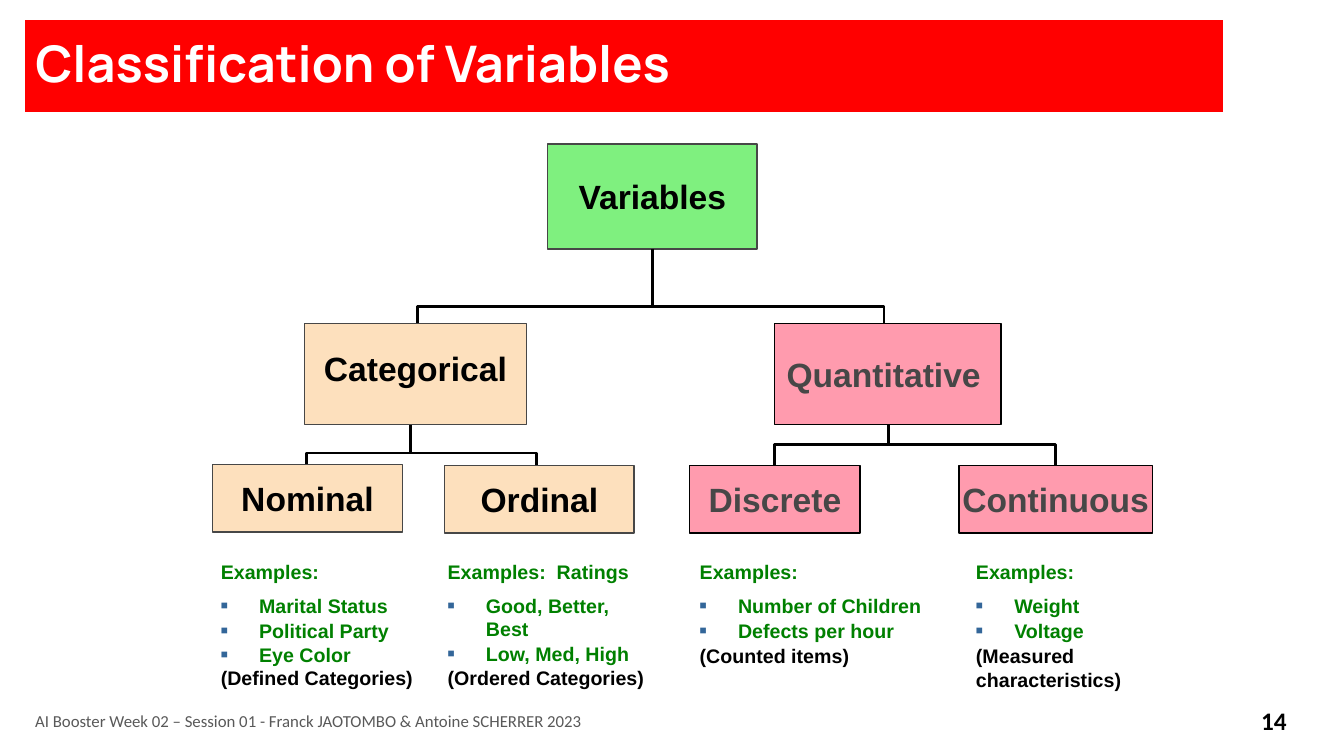
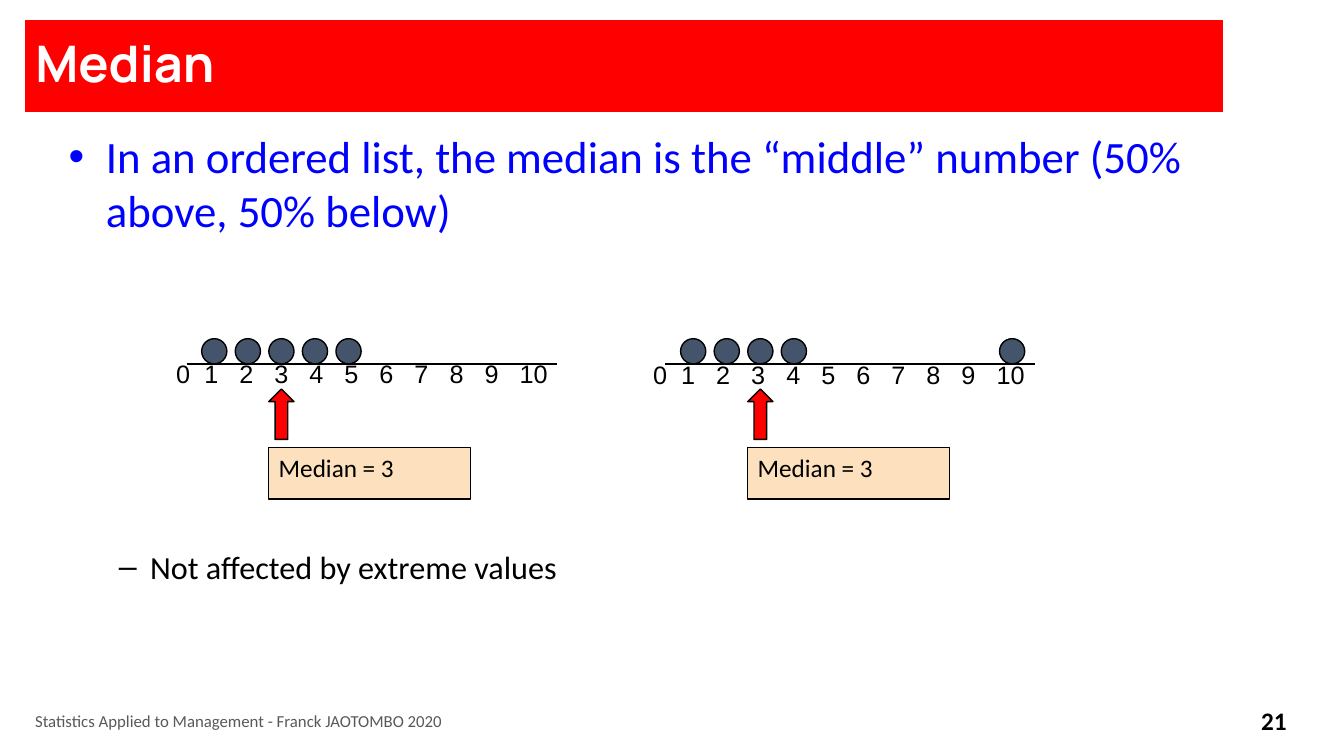
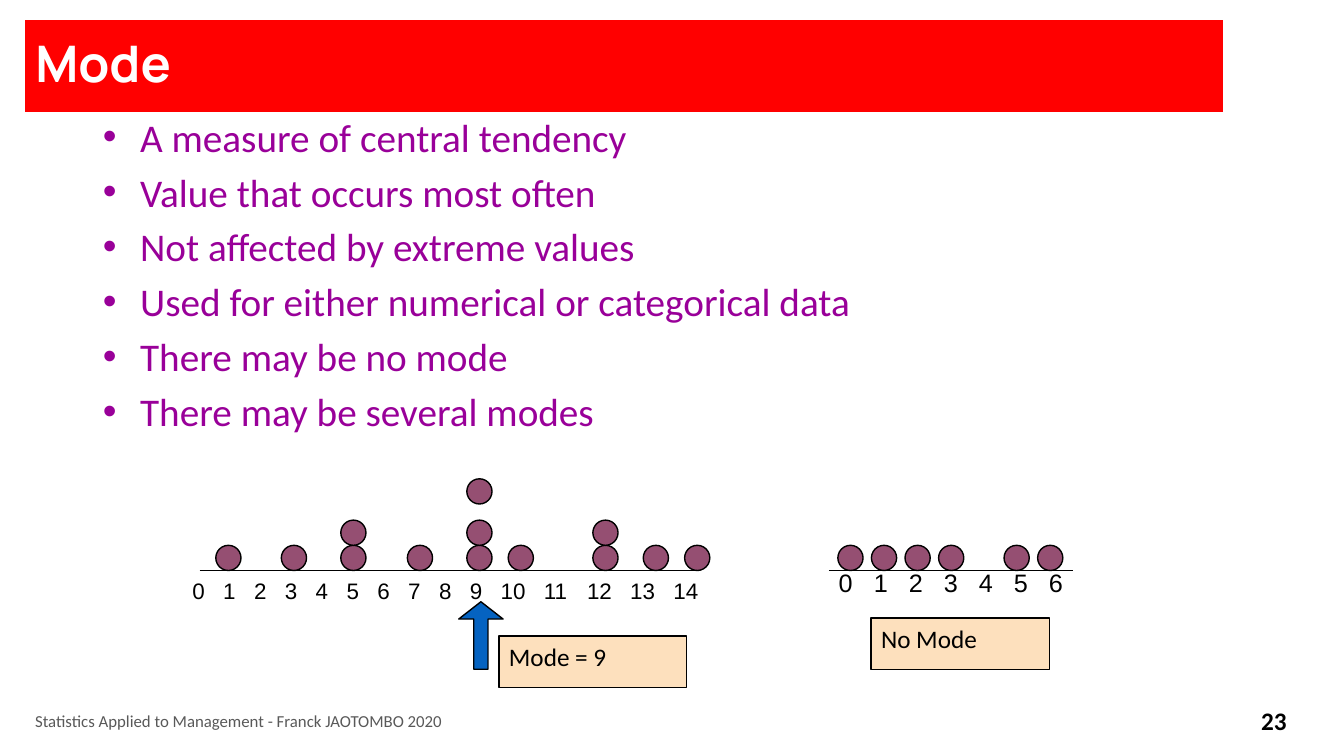
"""Build three statistics slides: classification of variables, median and mode."""
from dataclasses import dataclass
from typing import NamedTuple

from lxml import etree
from pptx import Presentation
from pptx.dml.color import RGBColor
from pptx.enum.shapes import MSO_CONNECTOR, MSO_SHAPE
from pptx.enum.text import MSO_ANCHOR, MSO_AUTO_SIZE, PP_ALIGN
from pptx.oxml.ns import qn
from pptx.util import Inches, Pt

RECT, OVAL, UP_ARROW = MSO_SHAPE.RECTANGLE, MSO_SHAPE.OVAL, MSO_SHAPE.UP_ARROW
STRAIGHT, ELBOW = MSO_CONNECTOR.STRAIGHT, MSO_CONNECTOR.ELBOW
LEFT, CENTER = PP_ALIGN.LEFT, PP_ALIGN.CENTER
TOP, MIDDLE = MSO_ANCHOR.TOP, MSO_ANCHOR.MIDDLE
NO_FIT = MSO_AUTO_SIZE.NONE

COLS, ROWS = 13.33, 7.5
CELL = Inches(1)
BLACK, WHITE, RED, GREY = "000000", "FFFFFF", "FF0000", "474747"
PEACH, PINK, GREEN, BLUE = "FDE0BD", "FF9BAE", "008000", "0563C1"
SLATE, PLUM, VIOLET = "44546A", "954F72", "990099"
DOT = 0.25
THIRD = 0.333
DIGIT_EM, SPACE_EM = 0.556, 0.278
ITEM_GAPS = (7, 1, 0.3)
COURSE = "Statistics Applied to Management - Franck JAOTOMBO 2020"


class Box(NamedTuple):
    """Left, top, width and height in grid columns and rows."""
    x: float
    y: float
    w: float
    h: float


@dataclass
class Node:
    """One box of the classification tree."""
    label: str
    box: Box
    fill: str
    line: str = GREY
    color: str = BLACK
    alpha: int = 100
    lift: float = 0
    shift: float = 0


@dataclass
class Examples:
    """A column of examples below a leaf of the tree."""
    box: Box
    heading: str
    items: list[str]
    note: str
    note_before: float = 0


@dataclass
class DotPlot:
    """A number line with stacked dots and a caption."""
    start: float
    end: float
    axis: float
    last: int
    labels: tuple[float, float]
    dots: list[tuple[float, float]]
    fill: str
    caption: str
    caption_box: Box
    size: int = 18
    first_gap: int = 3
    pitch: float = 1.0


@dataclass
class Arrow:
    """An upward arrow with its shape adjustments."""
    box: Box
    fill: str
    shaft: float = 0.5
    tip: float = 0.5


def hex_color(code: str) -> RGBColor:
    """Turn a hex string into a colour."""
    return RGBColor.from_string(code)


def grid(*cells: float) -> list[int]:
    """Turn grid lengths into slide units."""
    return [int(c * CELL) for c in cells]


def add_text(tf, text: str, *, size: float, font: str = "Calibri", color: str = BLACK,
             bold: bool = False, align=LEFT, before: float = 0, spacing: float = 1.0):
    """Write one formatted paragraph and return it."""
    p = tf.paragraphs[0]
    if p.runs:
        p = tf.add_paragraph()
    p.alignment, p.space_before, p.line_spacing = align, Pt(before), spacing
    r = p.add_run()
    r.text = text
    r.font.size, r.font.name, r.font.bold = Pt(size), font, bold
    r.font.color.rgb = hex_color(color)
    return p


def hang(p, left: float, hanging: float, char: str = "", color: str = "", percent: int = 0) -> None:
    """Give a paragraph a hanging indent and, if asked, a bullet."""
    pPr = p._p.get_or_add_pPr()
    pPr.set("marL", str(Inches(left)))
    pPr.set("indent", str(-Inches(hanging)))
    if color:
        clr = etree.SubElement(pPr, qn("a:buClr"))
        etree.SubElement(clr, qn("a:srgbClr"), val=color)
    if percent:
        etree.SubElement(pPr, qn("a:buSzPct"), val=str(percent * 1000))
    if char:
        etree.SubElement(pPr, qn("a:buFont"), typeface="Arial")
        etree.SubElement(pPr, qn("a:buChar"), char=char)


def add_box(s, kind, box: Box, fill: str, line: str = BLACK, alpha: int = 100):
    """Add a filled and outlined preset shape."""
    sp = s.shapes.add_shape(kind, *grid(*box))
    sp.shadow.inherit = False
    sp.fill.solid()
    sp.fill.fore_color.rgb = hex_color(fill)
    sp.line.color.rgb = hex_color(line)
    sp.line.width = Pt(1)
    if alpha < 100:
        clr = sp._element.spPr.find(qn("a:solidFill"))[0]
        etree.SubElement(clr, qn("a:alpha"), val=str(alpha * 1000))
    return sp


def text_frame(s, box: Box, anchor=TOP):
    """Add a wrapping text box and return its text frame."""
    tf = s.shapes.add_textbox(*grid(*box)).text_frame
    tf.word_wrap, tf.vertical_anchor = True, anchor
    return tf


def add_line(s, x1: float, y1: float, x2: float, y2: float, width: float, kind=STRAIGHT):
    """Add a black connector."""
    c = s.shapes.add_connector(kind, *grid(x1, y1, x2, y2))
    c.line.color.rgb = hex_color(BLACK)
    c.line.width = Pt(width)
    etree.SubElement(c._element.spPr, qn("a:effectLst"))
    return c


def add_corner(s, x1: float, y1: float, x2: float, y2: float, width: float) -> None:
    """Add a connector that runs across and then down."""
    c = add_line(s, x1, y1, x2, y2, width, ELBOW)
    c._element.spPr.find(qn("a:prstGeom")).set("prst", "bentConnector2")


def add_branch(s, x1: float, y1: float, x2: float, y2: float, bend: float, width: float) -> None:
    """Add a connector that runs down, across and down again."""
    mid_x, mid_y = (x1 + x2) / 2, (y1 + y2) / 2
    w, h = y2 - y1, abs(x2 - x1)
    left, top = mid_x - w / 2, mid_y - h / 2
    c = add_line(s, left, top, left + w, top + h, width, ELBOW)
    c.rotation = 90 if x2 < x1 else 270
    if x2 > x1:
        c._element.spPr.find(qn("a:xfrm")).set("flipH", "1")
    geom = c._element.spPr.find(qn("a:prstGeom"))
    guides = geom.find(qn("a:avLst"))
    if guides is None:
        guides = etree.SubElement(geom, qn("a:avLst"))
    etree.SubElement(guides, qn("a:gd"), name="adj1", fmla=f"val {int(bend * 100000)}")


def new_slide(prs, layout: int, title: str, footer: str, number: int):
    """Add a slide with the shared title band, footer and number."""
    s = prs.slides.add_slide(prs.slide_layouts[layout])
    sp = s.shapes.title
    sp.left, sp.top, sp.width, sp.height = grid(0.25, 0.2, 11.88, 0.91)
    sp.fill.solid()
    sp.fill.fore_color.rgb = hex_color(RED)
    tf = sp.text_frame
    tf.auto_size, tf.vertical_anchor = NO_FIT, MIDDLE
    add_text(tf, title, size=36, font="Manrope", color=WHITE, bold=True, spacing=0.9)
    add_text(text_frame(s, Box(0.25, 6.95, 9.4, 0.4), MIDDLE), footer, size=12, color="595959")
    add_text(text_frame(s, Box(12.22, 6.95, 0.83, 0.4), MIDDLE), str(number),
             size=18, bold=True, align=CENTER)
    return s


def body_frame(s, box: Box):
    """Move the body placeholder and return its text frame."""
    sp = s.placeholders[1]
    sp.left, sp.top, sp.width, sp.height = grid(*box)
    tf = sp.text_frame
    tf.auto_size, tf.vertical_anchor = NO_FIT, TOP
    return tf


def add_node(s, node: Node):
    """Draw one box of the tree."""
    sp = add_box(s, RECT, node.box, node.fill, node.line, node.alpha)
    tf = sp.text_frame
    tf.word_wrap, tf.vertical_anchor = False, MIDDLE
    tf.margin_bottom = Inches(0.05 + 2 * node.lift)
    tf.margin_right = Inches(0.1 + 2 * node.shift)
    add_text(tf, node.label, size=24, font="Arial", color=node.color, bold=True, align=CENTER)
    return sp


def add_examples(s, ex: Examples) -> None:
    """Draw a column of examples."""
    tf = text_frame(s, ex.box)
    tf.margin_left = tf.margin_right = Inches(0.09)
    style = {"size": 14, "font": "Arial", "bold": True}
    add_text(tf, ex.heading, color=GREEN, **style)
    for item, gap in zip(ex.items, ITEM_GAPS):
        p = add_text(tf, item, color=GREEN, before=gap, **style)
        hang(p, 0.38, 0.38, "■", "336699", 60)
    add_text(tf, ex.note, before=ex.note_before, **style)


def add_labels(s, plot: DotPlot) -> None:
    """Write the axis numbers on tab stops worked out from digit widths."""
    em = plot.size / 72 * plot.pitch
    names = [str(n) for n in range(plot.last + 1)]
    tf = text_frame(s, Box(*plot.labels, 0.43 * plot.last, 0.4))
    p = add_text(tf, "\t".join(names), size=plot.size, font="Arial")
    tabs = etree.SubElement(p._p.get_or_add_pPr(), qn("a:tabLst"))
    pos = 0.0
    for i, name in enumerate(names[:-1]):
        gap = 3 if i else plot.first_gap
        pos += em * (DIGIT_EM * len(name) + SPACE_EM * gap)
        etree.SubElement(tabs, qn("a:tab"), pos=str(Inches(pos)), algn="l")


def add_plot(s, plot: DotPlot) -> None:
    """Draw a number line, its dots and its caption."""
    add_line(s, plot.start, plot.axis, plot.end, plot.axis, 1)
    add_labels(s, plot)
    for x, level in plot.dots:
        add_box(s, OVAL, Box(x, plot.axis - DOT * (level + 1), DOT, DOT), plot.fill)
    tf = add_box(s, RECT, plot.caption_box, PEACH).text_frame
    tf.word_wrap, tf.vertical_anchor = True, TOP
    add_text(tf, plot.caption, size=18)


def add_arrow(s, arrow: Arrow) -> None:
    """Draw an upward arrow."""
    sp = add_box(s, UP_ARROW, arrow.box, arrow.fill)
    sp.adjustments[0], sp.adjustments[1] = arrow.shaft, arrow.tip


def row(start: float, steps: list[float]) -> list[tuple[float, float]]:
    """Place dots on the axis at multiples of a third of a column."""
    return [(start + THIRD * n, 0) for n in steps]


def classification_slide(prs) -> None:
    """Build the tree of variable types."""
    s = new_slide(prs, 5, "Classification of Variables",
                  "AI Booster Week 02 – Session 01 - Franck JAOTOMBO & Antoine SCHERRER 2023", 14)
    for stem, ends, bend in ((4.07, (3.04, 5.32), 0.7), (8.81, (7.68, 10.47), 0.5)):
        for end in ends:
            add_branch(s, stem, 4.2, end, 4.62, bend, 2)
    for end in (4.14, 8.77):
        add_corner(s, 6.47, 3.04, end, 3.25, 1.75)
    nodes = [add_node(s, n) for n in (
        Node("Variables", Box(5.43, 1.43, 2.08, 1.04), "00E200", alpha=50),
        Node("Categorical", Box(3.02, 3.21, 2.2, 1), PEACH, lift=0.06),
        Node("Quantitative", Box(7.68, 3.21, 2.25, 1), PINK, BLACK, GREY, shift=0.04),
        Node("Nominal", Box(2.11, 4.61, 1.88, 0.67), PEACH),
        Node("Ordinal", Box(4.41, 4.62, 1.88, 0.67), PEACH),
        Node("Discrete", Box(6.84, 4.62, 1.69, 0.67), PINK, BLACK, GREY),
        Node("Continuous", Box(9.51, 4.62, 1.92, 0.67), PINK, BLACK, GREY))]
    add_line(s, 6.47, 2.47, 6.47, 3.04, 1.75).begin_connect(nodes[0], 2)
    for ex in (
            Examples(Box(2.1, 5.51, 2.17, 1.4), "Examples:",
                     ["Marital Status", "Political Party", "Eye Color"], "(Defined Categories)"),
            Examples(Box(4.35, 5.51, 2.26, 1.4), "Examples:  Ratings",
                     ["Good, Better, Best", "Low, Med, High"], "(Ordered Categories)"),
            Examples(Box(6.85, 5.51, 2.5, 1.19), "Examples:",
                     ["Number of Children", "Defects per hour"], "(Counted items)", 1.5),
            Examples(Box(9.59, 5.51, 1.76, 1.44), "Examples:",
                     ["Weight", "Voltage"], "(Measured characteristics)", 1.5)):
        add_examples(s, ex)


def median_slide(prs) -> None:
    """Build the median slide with two number lines."""
    s = new_slide(prs, 1, "Median", COURSE, 21)
    tf = body_frame(s, Box(0.58, 1.23, 11.83, 5.5))
    p = add_text(tf, "In an ordered list, the median is the “middle” number (50% above, 50% below)",
                 size=32, color="0000FF")
    hang(p, 0.37, 0.37, "•")
    p = add_text(tf, "Not affected by extreme values", size=23, before=222)
    p.level = 1
    hang(p, 0.81, 0.31, "–")
    for start, label_x, label_y, steps in ((1.85, 1.65, 3.51, [0, 1, 2, 3, 4]),
                                           (6.6, 6.38, 3.52, [0, 1, 2, 3, 9.5])):
        mid = start + 0.15 + 2 * THIRD
        add_plot(s, DotPlot(start, start + 3.67, 3.61, 10, (label_x, label_y),
                            row(start + 0.15, steps), SLATE, "Median = 3",
                            Box(mid, 4.44, 2, 0.51), first_gap=2))
        add_arrow(s, Arrow(Box(mid, 3.86, 0.25, 0.5), RED))


def mode_slide(prs) -> None:
    """Build the mode slide with a list and two number lines."""
    s = new_slide(prs, 1, "Mode", COURSE, 23)
    tf = body_frame(s, Box(0.92, 1.07, 11.39, 4.96))
    for item in ("A measure of central tendency", "Value that occurs most often",
                 "Not affected by extreme values", "Used for either numerical or categorical data",
                 "There may be no mode", "There may be several modes"):
        hang(add_text(tf, item, size=28, color=VIOLET, before=5.6), 0.37, 0.37, "•")
    dots = [(2.14, 0), (2.79, 0), (3.38, 0), (3.38, 1), (4.04, 0), (4.63, 0), (4.63, 1),
            (4.63, 2.64), (5.04, 0), (5.88, 0), (5.88, 1), (6.38, 0), (6.79, 0)]
    add_line(s, 5.48, 5.66, 6.9, 5.66, 1)
    add_plot(s, DotPlot(1.98, 5.65, 5.66, 14, (1.81, 5.68), dots, PLUM,
                        "Mode = 9", Box(4.95, 6.31, 1.86, 0.51), size=16, pitch=0.99))
    add_arrow(s, Arrow(Box(4.55, 5.97, 0.44, 0.67), BLUE, 0.32, 0.39))
    add_plot(s, DotPlot(8.22, 10.64, 5.66, 6, (8.22, 5.58), row(8.31, [0, 1, 2, 3, 4.95, 5.95]),
                        PLUM, "No Mode", Box(8.64, 6.13, 1.77, 0.51)))


def main() -> None:
    """Build and save the presentation."""
    prs = Presentation()
    prs.slide_width, prs.slide_height = grid(COLS, ROWS)
    classification_slide(prs)
    median_slide(prs)
    mode_slide(prs)
    prs.save("out.pptx")


if __name__ == "__main__":
    main()
